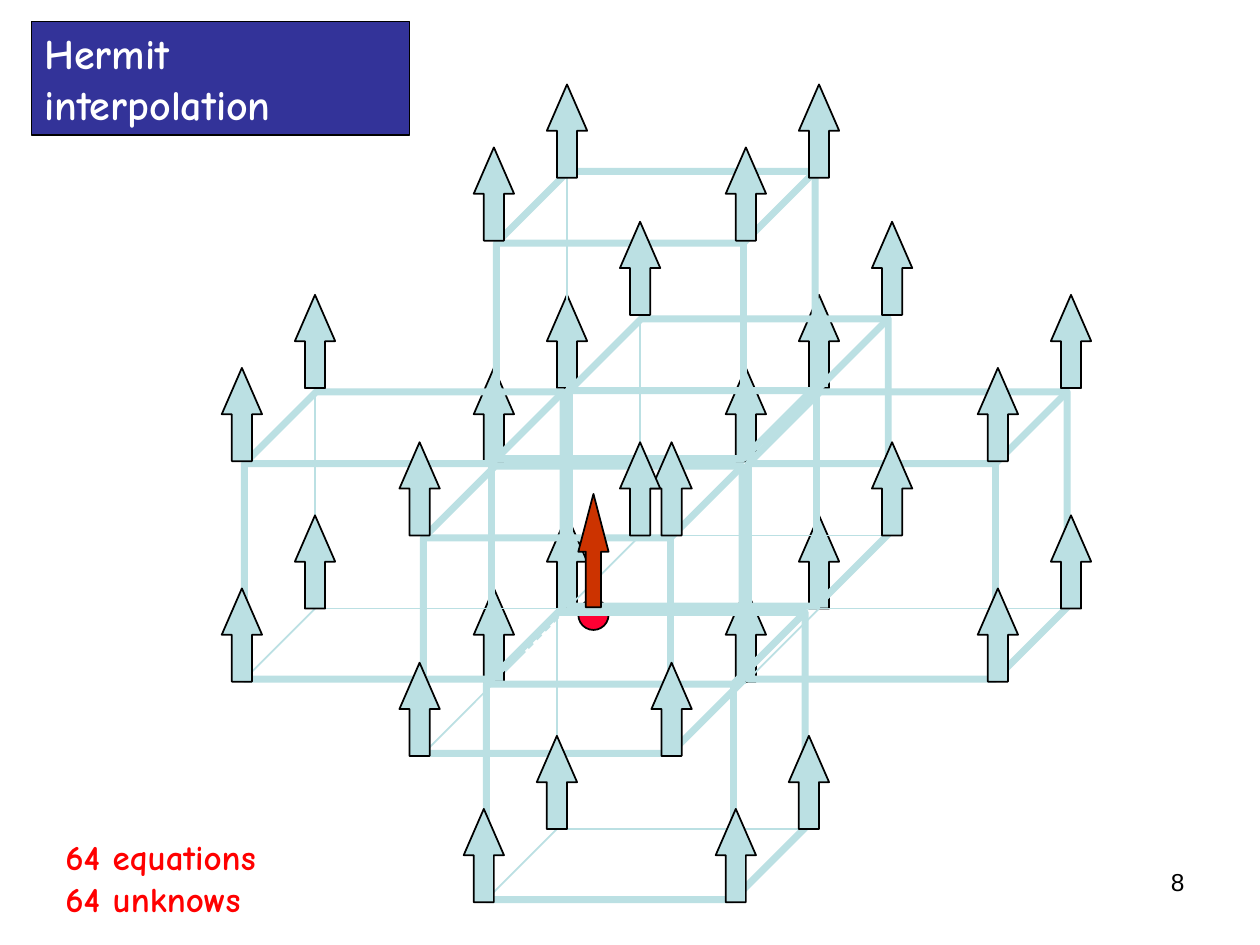
from dataclasses import dataclass
from itertools import product

from lxml import etree
from pptx import Presentation
from pptx.dml.color import RGBColor
from pptx.enum import dml, shapes, text
from pptx.oxml import ns
from pptx.util import Inches, Pt


@dataclass
class Theme:
    navy: str = "333399"
    pale: str = "BBE0E3"
    red: str = "FF0000"
    rose: str = "FF0033"
    rust: str = "CC3300"
    black: str = "000000"
    white: str = "FFFFFF"
    head: str = "Comic Neue"
    plain: str = "Arial"
    title: int = 24
    note: int = 20
    page: int = 14
    thin: int = 1
    thick: int = 4


T = Theme()
KIND = shapes.MSO_SHAPE
WIDE, HIGH, DEEP = 2, 1.75, 0.58
BACK = (4.5, 3.08)
CELLS = [(6.5, 3.08), (3.92, 3.67), (5.08, 2.5),
         (2.5, 3.08), (4.42, 4.83), (4.5, 1.33)]
ACROSS, DOWN, SLANT = (WIDE, 0), (0, HIGH), (-DEEP, DEEP)
CAPS = [((8.5, 3.08), SLANT, DOWN), ((2.5, 3.08), SLANT, DOWN),
        ((3.33, 4.25), ACROSS, DOWN), ((4.42, 6.58), ACROSS, SLANT),
        ((4.5, 1.41), ACROSS, (-DEEP, 0.5)), ((5.08, 2.5), ACROSS, DOWN)]
SOLID = [((5.5, 3.08), (6.5, 3.08)), ((4.25, 3.33), (3.92, 3.67)),
         ((3.92, 3.67), (5.92, 3.67)), ((6.5, 3.08), (5.92, 3.67)),
         ((5.92, 3.67), (5.92, 5.42)), ((5.92, 5.42), (3.92, 5.42)),
         ((5.5, 4.83), (6.5, 4.83)), ((4.17, 5.17), (3.92, 5.42))]
DASHED = [((4.5, 3.08), (5.5, 3.08)), ((4.5, 3.08), (4.17, 3.42)),
          ((4.5, 4.83), (5.5, 4.83)), ((4.5, 4.83), (4.17, 5.17)),
          ((4.5, 3.08), (4.5, 4.83))]


def color(code):
    return RGBColor.from_string(code)


def inches(box):
    return [Inches(n) for n in box]


def paint(item, fill, line, width):
    if fill:
        item.fill.solid()
        item.fill.fore_color.rgb = color(fill)
    else:
        item.fill.background()
    item.line.color.rgb = color(line)
    item.line.width = Pt(width)


def shape(slide, kind, box, fill, line=T.black, width=T.thin):
    item = slide.shapes.add_shape(kind, *inches(box))
    item.shadow.inherit = False
    paint(item, fill, line, width)
    return item


def edge(slide, start, end, dash=False):
    line = slide.shapes.add_connector(
        shapes.MSO_CONNECTOR.STRAIGHT, *inches(start + end))
    line.line.color.rgb = color(T.pale)
    line.line.width = Pt(T.thin)
    if dash:
        line.line.dash_style = dml.MSO_LINE.DASH
    etree.SubElement(line._element.spPr, ns.qn("a:effectLst"))


def arrow(slide, base, size=(0.32, 0.74), fill=T.pale, head=1.15):
    x, y = base
    wide, high = size
    item = shape(slide, KIND.UP_ARROW, (x - wide / 2, y - high, wide, high), fill)
    item.adjustments[0] = 0.5
    item.adjustments[1] = head


def face(slide, start, u, v):
    for i, j in product((0, 1), repeat=2):
        arrow(slide, (start[0] + i * u[0] + j * v[0],
                      start[1] + i * u[1] + j * v[1]))


def cell(slide, x, y):
    shape(slide, KIND.CUBE, (x - 0.56, y + 0.03, 2.53, 2.28),
          None, T.pale, T.thick)
    low = (x, y + HIGH)
    for end in ((x, y), (x + WIDE, y + HIGH), (x - DEEP, y + HIGH + DEEP)):
        edge(slide, low, end)


def core(slide, x, y):
    for start, end in SOLID:
        edge(slide, start, end)
    for start, end in DASHED:
        edge(slide, start, end, True)
    shape(slide, KIND.OVAL, (4.59, 4.76, 0.24, 0.24), T.rose)
    for start in ((x, y), (x - DEEP, y + DEEP)):
        face(slide, start, ACROSS, DOWN)


def write(frame, words, font, size, tint, bold=False, align=text.PP_ALIGN.LEFT):
    frame.text = words
    frame.auto_size = text.MSO_AUTO_SIZE.NONE
    frame.vertical_anchor = text.MSO_ANCHOR.TOP
    for para in frame.paragraphs:
        para.alignment = align
        for run in para.runs:
            run.font.name = font
            run.font.size = Pt(size)
            run.font.bold = bold
            run.font.color.rgb = color(tint)


def title(slide, box):
    item = slide.shapes.title
    item.left, item.top, item.width, item.height = inches(box)
    paint(item, T.navy, T.black, T.thin)
    write(item.text_frame, "Hermit interpolation", T.head, T.title, T.white, True)
    item.text_frame.word_wrap = True


def note(slide, box):
    frame = slide.shapes.add_textbox(*inches(box)).text_frame
    write(frame, "64 equations\n64 unknows", T.head, T.note, T.red, True)
    frame.word_wrap = False


def page(slide, box):
    frame = slide.shapes.add_textbox(*inches(box)).text_frame
    write(frame, "8", T.plain, T.page, T.black, align=text.PP_ALIGN.RIGHT)
    frame.word_wrap = True


def main():
    deck = Presentation()
    deck.slide_width, deck.slide_height = Inches(10), Inches(7.5)
    slide = deck.slides.add_slide(deck.slide_layouts[5])
    title(slide, (0.25, 0.17, 3, 0.9))
    core(slide, *BACK)
    note(slide, (0.42, 6.58, 1.71, 0.77))
    for x, y in CELLS:
        cell(slide, x, y)
    for start, u, v in CAPS:
        face(slide, start, u, v)
    arrow(slide, (4.71, 4.82), (0.24, 0.9), T.rust, 1.91)
    page(slide, (7.17, 6.83, 2.33, 0.52))
    deck.save("out.pptx")


if __name__ == "__main__":
    main()
